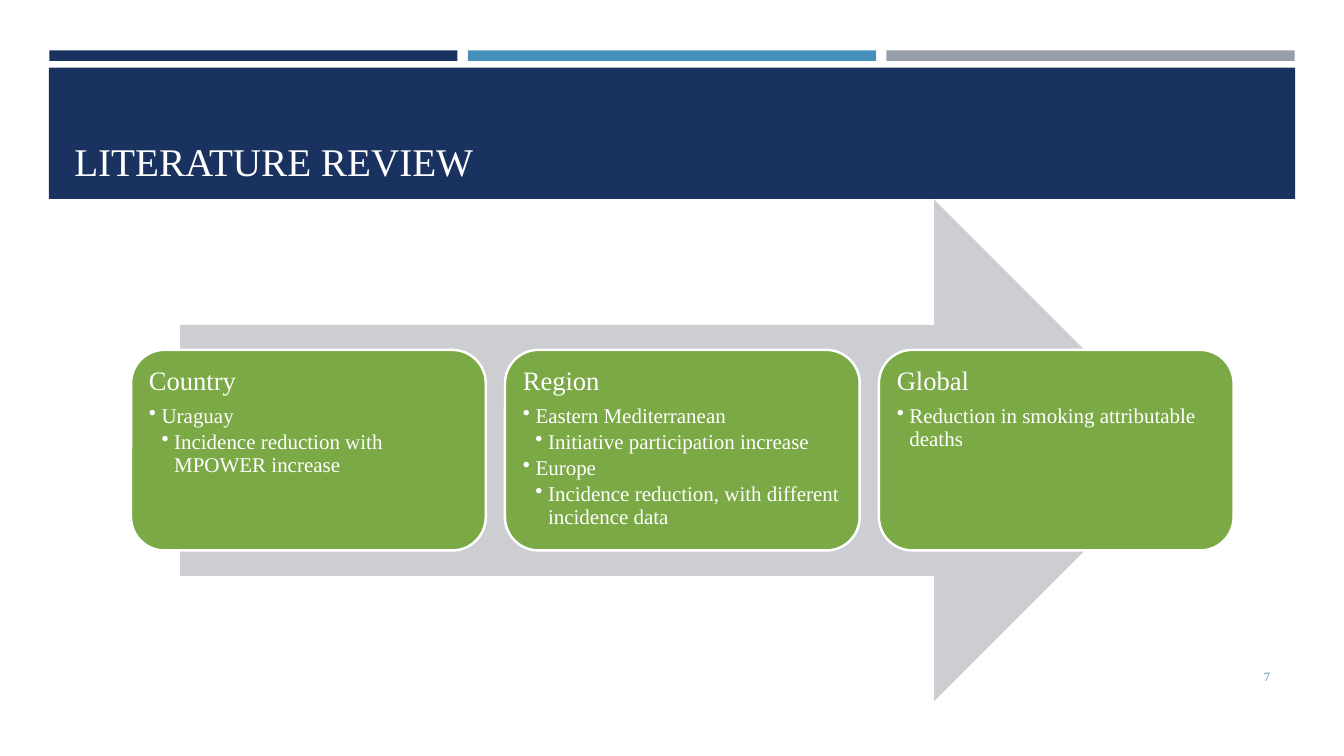
from pptx import Presentation
from pptx.dml.color import RGBColor
from pptx.enum.shapes import MSO_SHAPE as Shape
from pptx.enum.text import MSO_ANCHOR as Anchor, PP_ALIGN as Align
from pptx.oxml.ns import qn
from pptx.util import Pt
from lxml.etree import SubElement

TITLE = "LITERATURE REVIEW"
PAGE_NUMBER = "7"
# Each card: heading, then (indent level, text)
CARDS = [
    ("Country", [(1, "Uraguay"),
                 (2, "Incidence reduction with MPOWER increase")]),
    ("Region", [(1, "Eastern Mediterranean"),
                (2, "Initiative participation increase"),
                (1, "Europe"),
                (2, "Incidence reduction, with different incidence data")]),
    ("Global", [(1, "Reduction in smoking attributable deaths")]),
]
THEME = {
    "font": "Times New Roman",
    "navy": "1A3260", "blue": "4590B8", "gray": "969FA7",
    "arrow": "CDCED2", "card": "7BA946", "white": "FFFFFF",
    "title": 28, "heading": 19, "bullet": 15, "number": 9,
}
BAR_LEFT, BAR_TOP, BAR_WIDTH, BAR_HEIGHT, BAR_GAP = 35.2, 36, 291.6, 7.5, 7.4
CARD_LEFT, CARD_TOP, CARD_WIDTH, CARD_HEIGHT, CARD_GAP = 93.6, 249.9, 253.4, 143.3, 13.7
CARD_INSET = 5.8
INDENT = 9


def color(name):
    return RGBColor.from_string(THEME[name])


def add_box(page, kind, place, fill):
    box = page.shapes.add_shape(kind, *map(Pt, place))
    box.shadow.inherit = False
    box.fill.solid()
    box.fill.fore_color.rgb = color(fill)
    box.line.fill.background()
    return box


def write(para, text, size, tint="white", **formats):
    span = para.add_run()
    span.text = text
    span.font.name = THEME["font"]
    span.font.size = Pt(THEME[size])
    span.font.color.rgb = color(tint)
    for name, value in formats.items():
        setattr(para, name, value)


def add_label(page, place, text, size, tint, anchor, align):
    box = page.shapes.add_textbox(*map(Pt, place))
    box.text_frame.word_wrap = True
    box.text_frame.vertical_anchor = anchor
    write(box.text_frame.paragraphs[0], text, size, tint, alignment=align)


def add_bullet(para, level):
    props = para._p.get_or_add_pPr()
    props.set("marL", str(Pt(INDENT * level)))
    props.set("indent", str(-Pt(INDENT)))
    SubElement(props, qn("a:buChar"), char="•")


def add_card(page, left, heading, points):
    card = add_box(page, Shape.ROUNDED_RECTANGLE,
                   (left, CARD_TOP, CARD_WIDTH, CARD_HEIGHT), "card")
    card.line.color.rgb = color("white")
    card.line.width = Pt(1.75)
    frame = card.text_frame
    frame.word_wrap = True
    frame.vertical_anchor = Anchor.TOP
    for side in ("left", "top", "right", "bottom"):
        setattr(frame, f"margin_{side}", Pt(CARD_INSET))
    formats = {"alignment": Align.LEFT, "line_spacing": 0.9}
    write(frame.paragraphs[0], heading, "heading", space_after=Pt(6.65), **formats)
    for level, text in points:
        para = frame.add_paragraph()
        write(para, text, "bullet", space_after=Pt(2.25), level=level, **formats)
        add_bullet(para, level)


def main():
    deck = Presentation()
    deck.slide_width, deck.slide_height = Pt(960), Pt(540)
    page = deck.slides.add_slide(deck.slide_layouts[6])

    for index, fill in enumerate(("navy", "blue", "gray")):
        left = BAR_LEFT + index * (BAR_WIDTH + BAR_GAP)
        add_box(page, Shape.RECTANGLE, (left, BAR_TOP, BAR_WIDTH, BAR_HEIGHT), fill)
    add_box(page, Shape.RECTANGLE, (34.9, 48.4, 890.3, 93.7), "navy")
    add_label(page, (46, 55.4, 868.3, 79.9), TITLE, "title", "white",
              Anchor.BOTTOM, Align.LEFT)

    add_box(page, Shape.RIGHT_ARROW, (128.7, 142.5, 717.8, 358.4), "arrow")
    for index, (heading, points) in enumerate(CARDS):
        add_card(page, CARD_LEFT + index * (CARD_WIDTH + CARD_GAP), heading, points)
    add_label(page, (831.6, 468.7, 82.8, 28.8), PAGE_NUMBER, "number", "blue",
              Anchor.MIDDLE, Align.RIGHT)

    deck.save("out.pptx")


if __name__ == "__main__":
    main()
